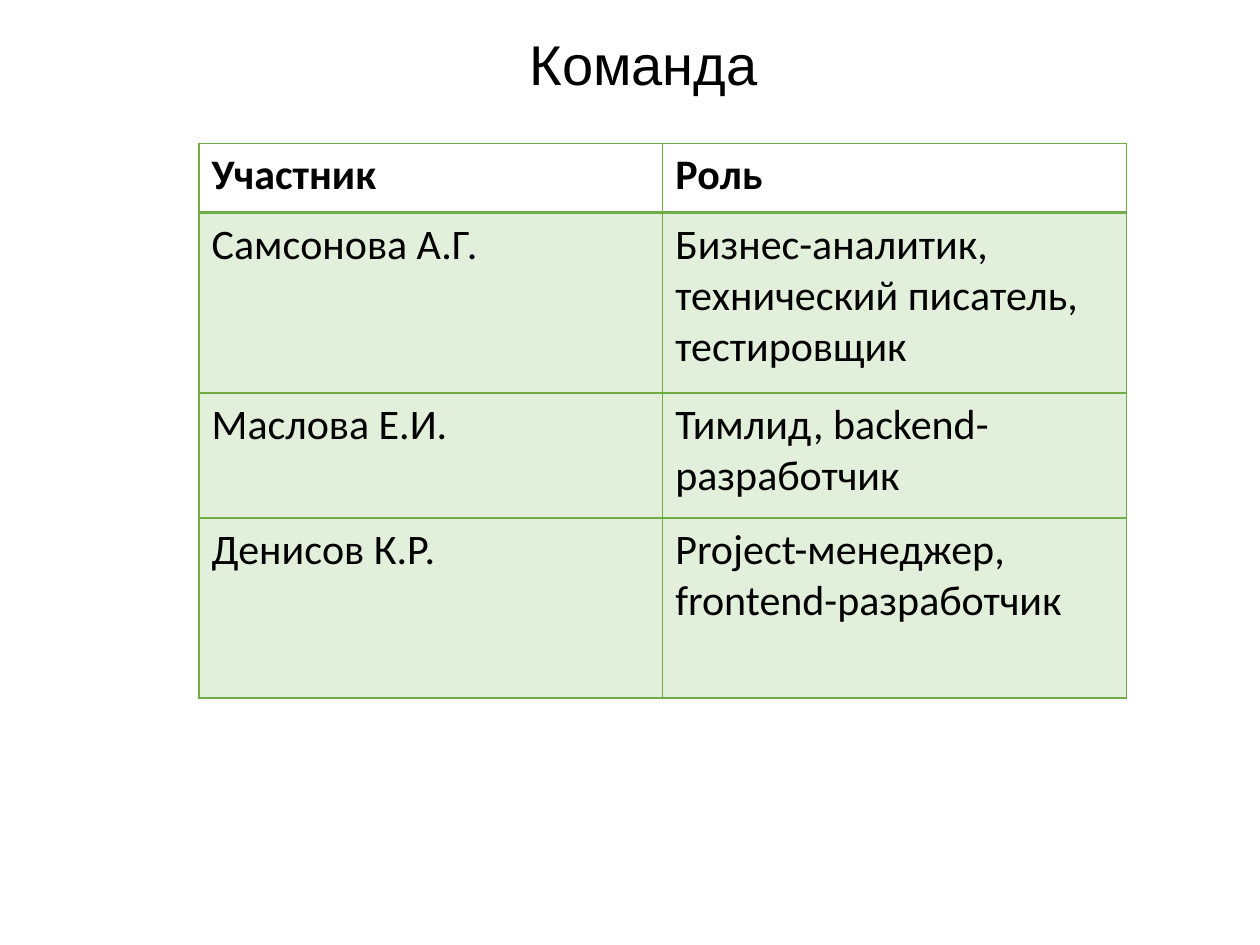
from lxml import etree
from pptx import Presentation
from pptx.dml.color import RGBColor
from pptx.enum.text import MSO_ANCHOR, PP_ALIGN
from pptx.oxml.ns import qn
from pptx.util import Inches, Pt

BLACK = RGBColor(0x00, 0x00, 0x00)
GREEN = RGBColor(0x70, 0xAD, 0x47)
PALE_GREEN = RGBColor(0xE2, 0xEF, 0xDA)

TEAM = [
    ("Участник", "Роль"),
    ("Самсонова А.Г.", "Бизнес-аналитик, технический писатель, тестировщик"),
    ("Маслова Е.И.", "Тимлид, backend-разработчик"),
    ("Денисов К.Р.", "Project-менеджер, frontend-разработчик"),
]
ROW_HEIGHTS = [0.55, 1.43, 0.99, 1.43]


def write(tf, text, font="Calibri", size=24, bold=False, align=PP_ALIGN.LEFT):
    p = tf.paragraphs[0]
    p.alignment = align
    r = p.add_run()
    r.text = text
    r.font.name = font
    r.font.size = Pt(size)
    r.font.bold = bold
    r.font.color.rgb = BLACK


def set_border(cell, side, width):
    """Draw one side (L, R, T or B) of a cell; call before setting its fill."""
    tcPr = cell._tc.get_or_add_tcPr()
    ln = etree.SubElement(tcPr, qn(f"a:ln{side}"), w=str(Pt(width)))
    fill = etree.SubElement(ln, qn("a:solidFill"))
    etree.SubElement(fill, qn("a:srgbClr"), val=str(GREEN))


class SlideBuilder:
    def __init__(self, prs):
        self.slide = prs.slides.add_slide(prs.slide_layouts[5])

    def title(self, text, left, top, width, height):
        sp = self.slide.shapes.title
        sp.left, sp.top = Inches(left), Inches(top)
        sp.width, sp.height = Inches(width), Inches(height)
        sp.text_frame.vertical_anchor = MSO_ANCHOR.MIDDLE
        write(sp.text_frame, text, font="Arial", size=32, align=PP_ALIGN.CENTER)

    def table(self, rows, left, top, width, heights):
        table = self.slide.shapes.add_table(
            len(rows), len(rows[0]), Inches(left), Inches(top),
            Inches(width), Inches(sum(heights))).table
        table.horz_banding = False
        for i, (row, height) in enumerate(zip(rows, heights)):
            table.rows[i].height = Inches(height)
            for j, text in enumerate(row):
                self.cell(table.cell(i, j), text, i)

    def cell(self, cell, text, row):
        header = row == 0
        write(cell.text_frame, text, bold=header)
        widths = {"L": 1, "R": 1, "T": 2 if row == 1 else 1, "B": 2 if header else 1}
        for side, width in widths.items():
            set_border(cell, side, width)
        if header:
            cell.fill.background()
        else:
            cell.fill.solid()
            cell.fill.fore_color.rgb = PALE_GREEN


def main():
    prs = Presentation()
    prs.slide_width, prs.slide_height = Inches(10), Inches(7.5)
    s = SlideBuilder(prs)
    s.title("Команда", 2.67, 0.18, 4.88, 0.64)
    s.table(TEAM, 1.58, 1.14, 7.36, ROW_HEIGHTS)
    prs.save("out.pptx")


if __name__ == "__main__":
    main()
